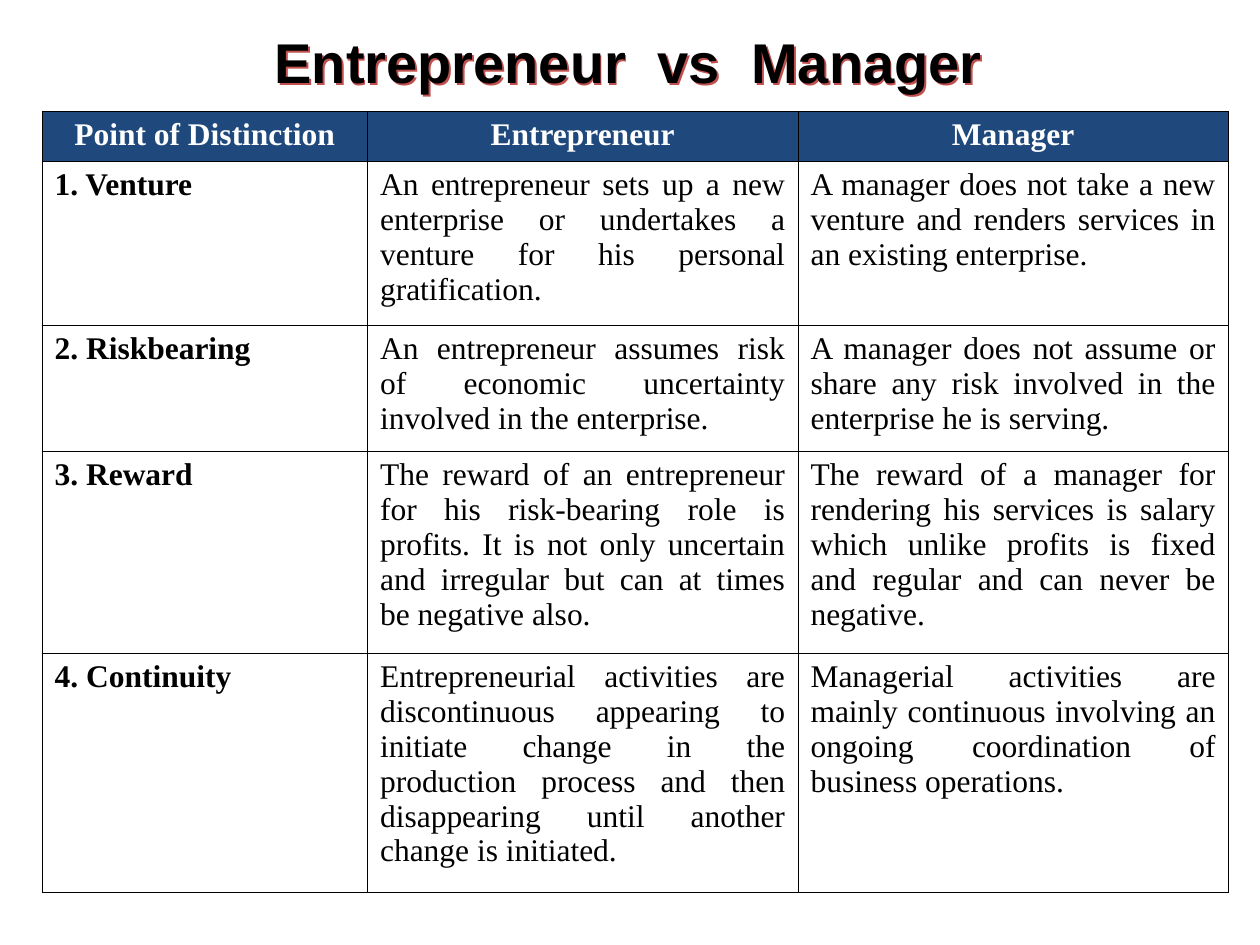
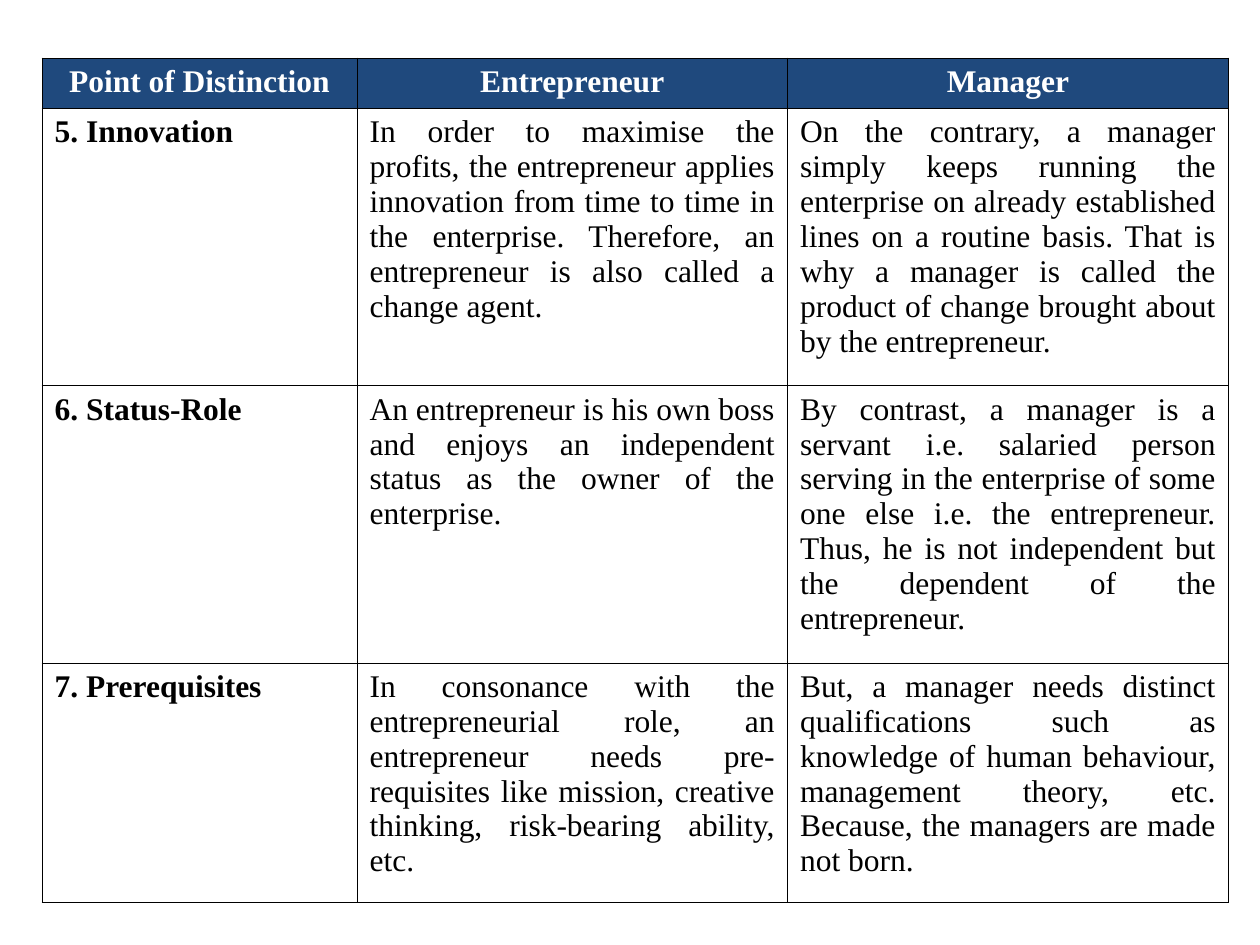
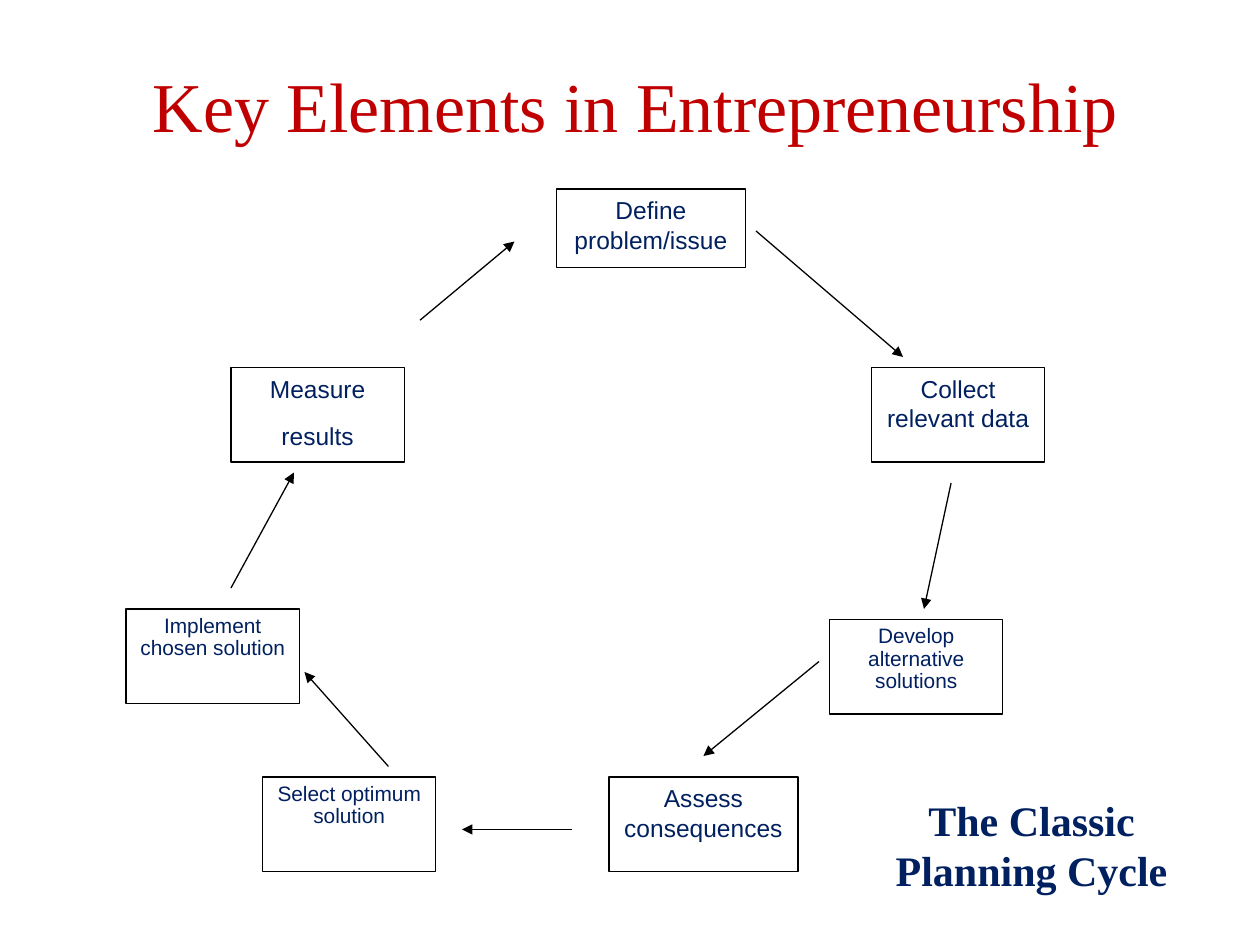
from dataclasses import dataclass

from lxml import etree
from pptx import Presentation
from pptx import util as u
from pptx.dml.color import RGBColor
from pptx.enum import shapes, text
from pptx.oxml.ns import qn

Pt = u.Pt
ALIGN = text.PP_ALIGN
MIDDLE = text.MSO_ANCHOR.MIDDLE


@dataclass(frozen=True)
class Theme:
    serif: str = "Times New Roman"
    sans: str = "Arial"
    black: str = "000000"
    white: str = "FFFFFF"
    band: str = "1F497D"
    navy: str = "002060"
    red: str = "C00000"
    glow: str = "C0504D"
    title: float = 40
    head: float = 32
    note: float = 24
    body: float = 18
    step: float = 14
    small: float = 11.9
    line: float = 0.75
    grid: float = 0.45


T = Theme()
HEADS = ("Point of Distinction", "Entrepreneur", "Manager")

FIRST = [
    ("1. Venture",
     "An entrepreneur sets up a new enterprise or undertakes a venture for his personal gratification.",
     "A manager does not take a new venture and renders services in an existing enterprise."),
    ("2. Riskbearing",
     "An entrepreneur assumes risk of economic uncertainty involved in the enterprise.",
     "A manager does not assume or share any risk involved in the enterprise he is serving."),
    ("3. Reward",
     "The reward of an entrepreneur for his risk-bearing role is profits. It is not only uncertain "
     "and irregular but can at times be negative also.",
     "The reward of a manager for rendering his services is salary which unlike profits is fixed "
     "and regular and can never be negative."),
    ("4. Continuity",
     "Entrepreneurial activities are discontinuous appearing to initiate change in the production "
     "process and then disappearing until another change is initiated.",
     "Managerial activities are mainly continuous involving an ongoing coordination of business "
     "operations."),
]

SECOND = [
    ("5. Innovation",
     "In order to maximise the profits, the entrepreneur applies innovation from time to time in "
     "the enterprise. Therefore, an entrepreneur is also called a change agent.",
     "On the contrary, a manager simply keeps running the enterprise on already established lines "
     "on a routine basis. That is why a manager is called the product of change brought about by "
     "the entrepreneur."),
    ("6. Status-Role",
     "An entrepreneur is his own boss and enjoys an independent status as the owner of the enterprise.",
     "By contrast, a manager is a servant i.e. salaried person serving in the enterprise of some "
     "one else i.e. the entrepreneur. Thus, he is not independent but the dependent of the "
     "entrepreneur."),
    ("7. Prerequisites",
     "In consonance with the entrepreneurial role, an entrepreneur needs pre-requisites like "
     "mission, creative thinking, risk-bearing ability, etc.",
     "But, a manager needs distinct qualifications such as knowledge of human behaviour, "
     "management theory, etc. Because, the managers are made not born."),
]

# Label, left, top and width within the cycle, and whether the type is small
STEPS = [
    ("Define problem/issue", 246, 0, 108, False),
    ("Collect relevant data", 426, 102, 99, False),
    ("Develop alternative solutions", 402, 246, 99, True),
    ("Assess consequences", 276, 336, 108, False),
    ("Select optimum solution", 78, 336, 99, True),
    ("Implement chosen solution", 0, 240, 99, True),
    ("Measure\nresults", 60, 102, 99, False),
]
# Start and end within the cycle
ARROWS = [
    (360, 24, 444, 96), (471.5, 168, 456, 240), (396, 270, 330, 324),
    (255, 366, 192, 366), (150, 330, 102, 276), (60, 228, 96, 162),
    (168, 75, 222, 30),
]


def style(par, size, color, face, bold=False, align=ALIGN.CENTER):
    par.alignment = align
    for run in par.runs:
        font = run.font
        font.size, font.name, font.bold = Pt(size), face, bold
        font.color.rgb = RGBColor.from_string(color)


def label(slide, box, words, size, color, face, bold=False):
    shape = slide.shapes.add_textbox(*map(Pt, box))
    frame = shape.text_frame
    frame.word_wrap, frame.vertical_anchor = True, MIDDLE
    frame.text = words
    style(frame.paragraphs[0], size, color, face, bold)
    return shape


def headline(slide, box, words):
    """Bold one-line title with wide word gaps and a coloured text shadow."""
    first, *rest = words.split()
    shape = label(slide, box, first, T.head, T.black, T.sans, True)
    frame = shape.text_frame
    frame.word_wrap = False
    frame.auto_size = text.MSO_AUTO_SIZE.SHAPE_TO_FIT_TEXT
    par = frame.paragraphs[0]
    for word in rest:
        gap = par.add_run()
        gap.text = " "
        gap.font._element.set("spc", "890")
        par.add_run().text = word
    style(par, T.head, T.black, T.sans, True)
    glow = etree.SubElement(shape._element.spPr, qn("a:effectLst"))
    cast = etree.SubElement(glow, qn("a:outerShdw"), dist=str(Pt(1.4)), dir="2700000", algn="ctr")
    etree.SubElement(cast, qn("a:srgbClr"), val=T.glow)


def edge(cell):
    """Thin black border on all four sides, placed ahead of the fill."""
    props = cell._tc.get_or_add_tcPr()
    for spot, side in enumerate(("lnL", "lnR", "lnT", "lnB")):
        line = etree.Element(qn("a:" + side), w=str(Pt(T.grid)))
        fill = etree.SubElement(line, qn("a:solidFill"))
        etree.SubElement(fill, qn("a:srgbClr"), val=T.black)
        props.insert(spot, line)


def compare(slide, box, cols, highs, rows):
    """Table of points under the shared heading row."""
    table = slide.shapes.add_table(len(highs), len(cols), *map(Pt, box)).table
    table.horz_banding = False
    for col, wide in zip(table.columns, cols):
        col.width = Pt(wide)
    for row, high in zip(table.rows, highs):
        row.height = Pt(high)
    for r, row in enumerate([HEADS, *rows]):
        for c, words in enumerate(row):
            cell, top = table.cell(r, c), r == 0
            cell.text = words
            style(cell.text_frame.paragraphs[0], T.body, T.white if top else T.black,
                  T.serif, top or c == 0, ALIGN.CENTER if top else ALIGN.JUSTIFY)
            if top:
                cell.fill.solid()
                cell.fill.fore_color.rgb = RGBColor.from_string(T.band)
            else:
                cell.fill.background()
            edge(cell)


def step(slide, box, words, small):
    shape = slide.shapes.add_shape(shapes.MSO_SHAPE.RECTANGLE, *map(Pt, box))
    shape.shadow.inherit = False
    shape.fill.solid()
    shape.fill.fore_color.rgb = RGBColor.from_string(T.white)
    shape.line.color.rgb = RGBColor.from_string(T.black)
    shape.line.width = Pt(T.line)
    frame = shape.text_frame
    frame.word_wrap, frame.vertical_anchor = True, text.MSO_ANCHOR.TOP
    frame.text = words
    for par in frame.paragraphs:
        par.space_after = Pt(10)
        if small:
            par.line_spacing = 0.9
        style(par, T.small if small else T.step, T.navy, T.sans)


def arrow(slide, ends):
    link = slide.shapes.add_connector(shapes.MSO_CONNECTOR.STRAIGHT, *map(Pt, ends))
    link.line.color.rgb = RGBColor.from_string(T.black)
    link.line.width = Pt(T.line)
    etree.SubElement(link.line._get_or_add_ln(), qn("a:tailEnd"), type="triangle")
    etree.SubElement(link._element.spPr, qn("a:effectLst"))


def cycle(slide, left, top):
    for words, x, y, wide, small in STEPS:
        high = 54 if y else 45
        step(slide, (left + x, top + y, wide, high), words, small)
    for x1, y1, x2, y2 in ARROWS:
        arrow(slide, (left + x1, top + y1, left + x2, top + y2))


def main():
    deck = Presentation()
    deck.slide_width, deck.slide_height = Pt(720), Pt(540)
    one, two, three = (deck.slides.add_slide(deck.slide_layouts[6]) for _ in range(3))

    headline(one, (144, 12, 430, 46), "Entrepreneur vs Manager")
    compare(one, (24, 63.5, 678, 446.4), (186, 246, 246),
            (28.8, 93.6, 72, 115.2, 136.8), FIRST)

    compare(two, (24, 33.2, 678, 482.4), (180, 246, 252),
            (28.8, 158.4, 158.4, 136.8), SECOND)

    label(three, (36, 30, 654, 60), "Key Elements in Entrepreneurship",
          T.title, T.red, T.serif)
    cycle(three, 72, 108)
    label(three, (480, 450, 219, 65), "The Classic Planning Cycle",
          T.note, T.navy, T.serif, True)
    deck.save("out.pptx")


if __name__ == "__main__":
    main()
